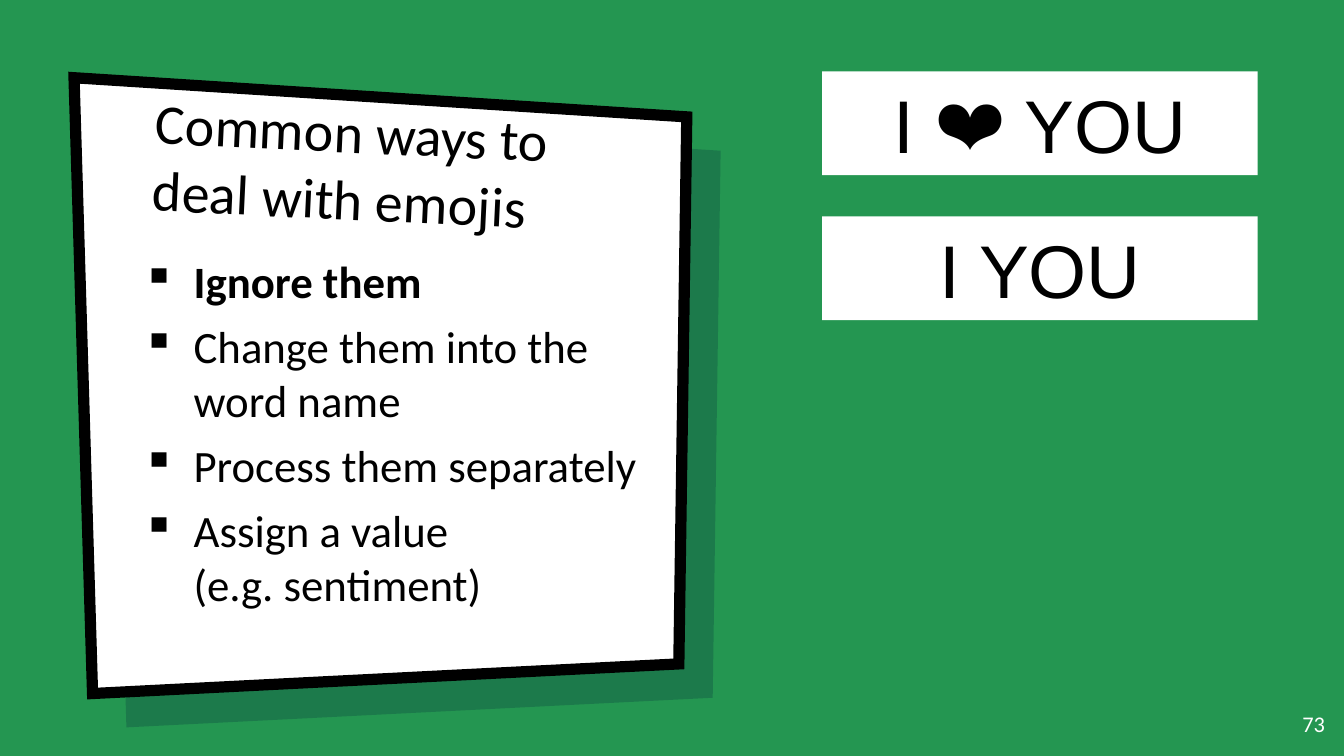
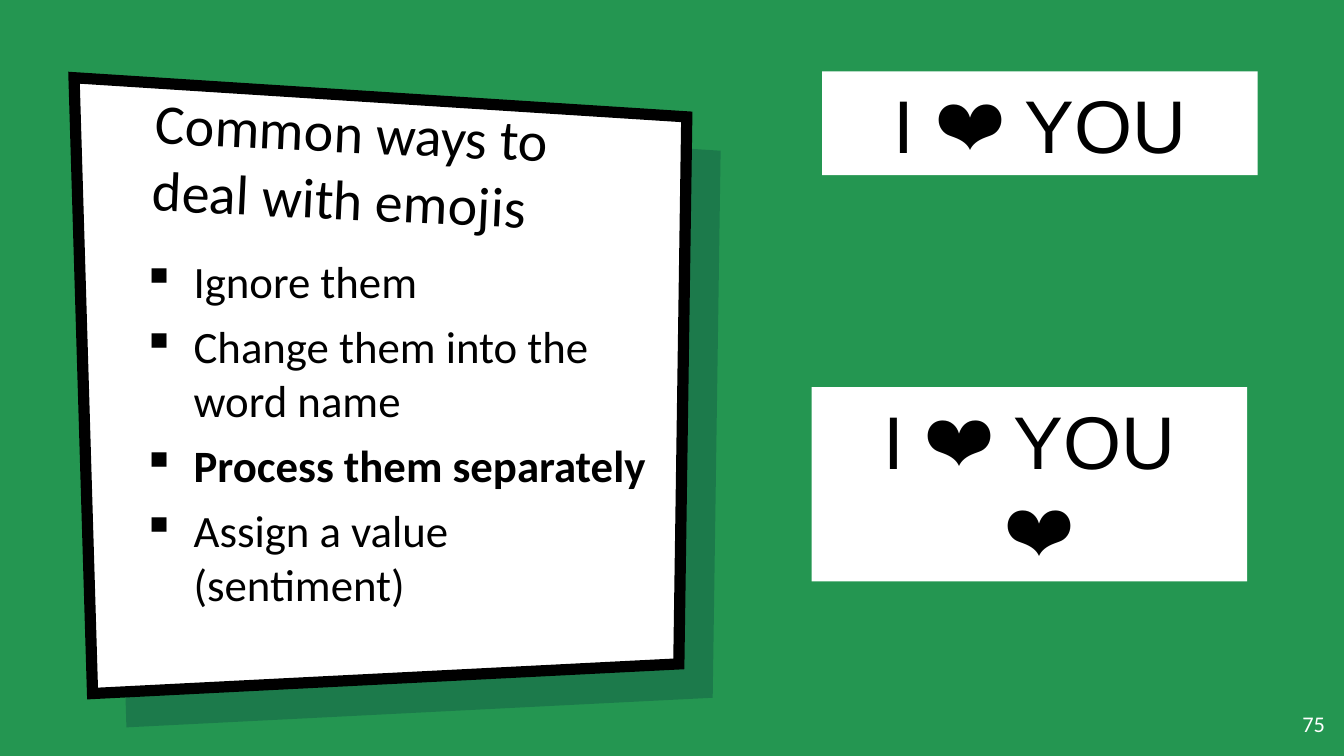
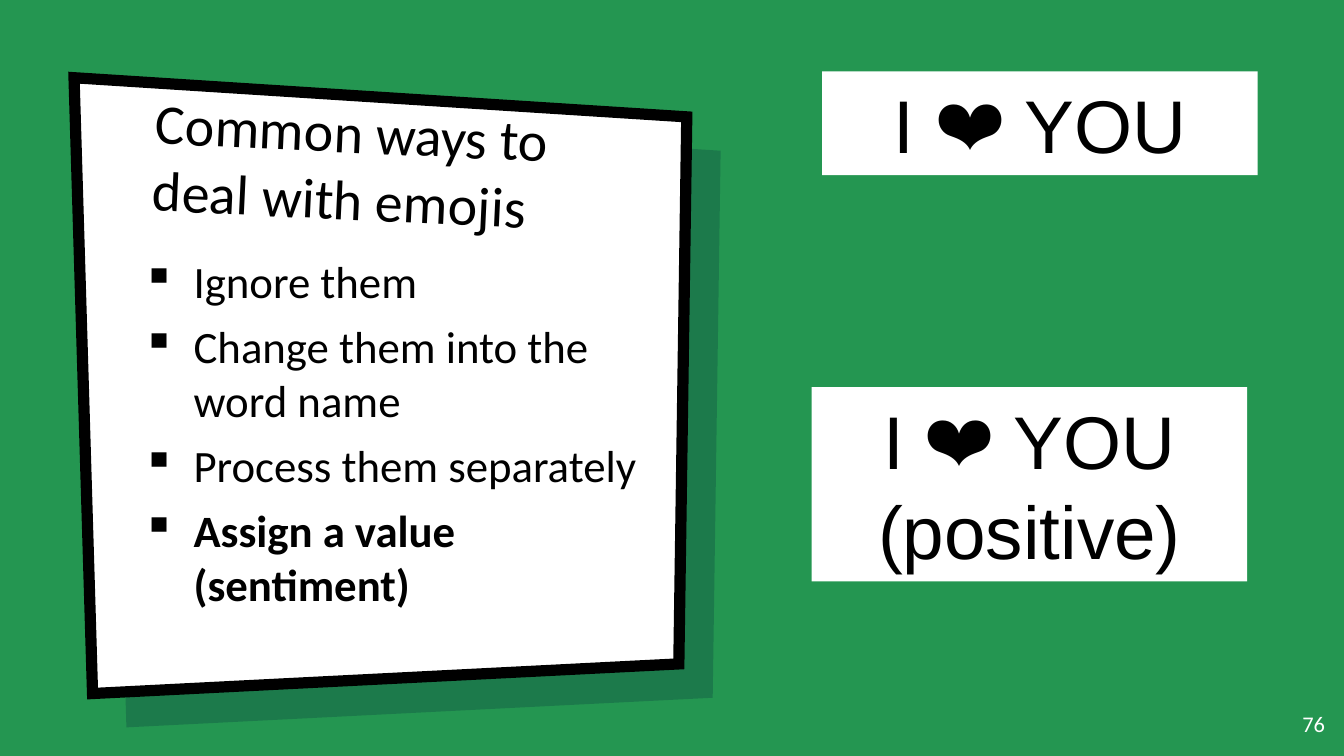
from lxml import etree
from pptx import Presentation
from pptx.dml.color import RGBColor
from pptx.enum.shapes import MSO_SHAPE
from pptx.enum.text import MSO_ANCHOR, MSO_AUTO_SIZE, PP_ALIGN
from pptx.oxml.ns import qn
from pptx.util import Cm, Pt

GREEN = RGBColor(0x24, 0x96, 0x51)
NAVY = RGBColor(0x00, 0x19, 0x36)
BLACK = RGBColor(0x00, 0x00, 0x00)
WHITE = RGBColor(0xFF, 0xFF, 0xFF)

TITLE = "Common ways to deal with emojis"
WAYS = ["Ignore them", "Change them into the word name", "Process them separately"]
EM_SPACE = " "
TWEET = ["I ❤️ YOU"]

# Number, last way, index of the way in bold, result lines, result left and top (cm)
SLIDES = [
    ("73", "Assign a value\v(e.g. sentiment)", 0, [f"I{EM_SPACE}YOU"], 15.54, 4.09),
    ("75", "Assign a value\v(sentiment)", 2, TWEET + [" ❤️"], 15.34, 7.32),
    ("76", "Assign a value\v(sentiment)", 3, TWEET + ["(positive)"], 15.34, 7.32),
]

# Lengths in cm
PANEL = [(1.4, 1.47), (12.98, 2.21), (12.83, 12.55), (1.75, 13.11)]
SHADOW_OFFSET = 0.64
TITLE_BOX = (2.64, 2.54, 9.04, 2.11)
WAYS_BOX = (2.44, 4.55, 10.26, 7.42)
NUMBER_BOX = (23.77, 13.18, 1.52, 1.09)
TWEET_LEFT, TWEET_TOP, CARD_WIDTH = 15.54, 1.35, 8.23
CARD_PADDING, CARD_LINE = 0.25, 1.71
INSET = 0.25
BULLET_INDENT = 0.97

TITLE_FONT = dict(name="Calibri", size=Pt(30))
WAY_FONT = dict(name="Calibri", size=Pt(24))
NUMBER_FONT = dict(name="Calibri", size=Pt(12))
CARD_FONT = dict(name="Arial", size=Pt(40))


def write_lines(tf, lines, font, color=BLACK, **paragraph_format):
    tf.word_wrap = True
    for i, line in enumerate(lines):
        p = tf.paragraphs[0] if i == 0 else tf.add_paragraph()
        p.text = line
        for name, value in paragraph_format.items():
            setattr(p, name, value)
        for r in p.runs:
            for name, value in font.items():
                setattr(r.font, name, value)
            r.font.color.rgb = color


def add_text(s, box, lines, font, **options):
    sp = s.shapes.add_textbox(*map(Cm, box))
    tf = sp.text_frame
    for side in ("left", "top", "right", "bottom"):
        setattr(tf, f"margin_{side}", Cm(INSET))
    write_lines(tf, lines, font, **options)
    return sp


def add_quad(s, offset, color):
    points = [(Cm(x + offset), Cm(y + offset)) for x, y in PANEL]
    builder = s.shapes.build_freeform(*points[0])
    builder.add_line_segments(points[1:], close=True)
    sp = builder.convert_to_shape()
    sp.shadow.inherit = False
    sp.fill.solid()
    sp.fill.fore_color.rgb = color
    return sp


def add_panel(s):
    shade = add_quad(s, SHADOW_OFFSET, NAVY)
    shade.line.fill.background()
    rgb = shade.fill._xPr.find(f".//{qn('a:srgbClr')}")
    etree.SubElement(rgb, qn("a:alpha"), val="22000")

    panel = add_quad(s, 0, WHITE)
    panel.line.color.rgb = BLACK
    panel.line.width = Pt(6)
    etree.SubElement(panel.line._get_or_add_ln(), qn("a:miter"), lim="800000")


def add_ways(s, ways, bold_index):
    tf = add_text(s, WAYS_BOX, ways, WAY_FONT).text_frame
    for i, p in enumerate(tf.paragraphs):
        pPr = p._p.get_or_add_pPr()
        pPr.set("marL", str(Cm(BULLET_INDENT)))
        pPr.set("indent", str(-Cm(BULLET_INDENT)))
        etree.SubElement(pPr, qn("a:buChar"), char="▪")
        p.space_before = Pt(6 if i else 0)
        for r in p.runs:
            r.font.bold = i == bold_index


def add_card(s, left, top, lines):
    height = CARD_PADDING + CARD_LINE * len(lines)
    sp = s.shapes.add_shape(MSO_SHAPE.RECTANGLE, *map(Cm, (left, top, CARD_WIDTH, height)))
    sp.shadow.inherit = False
    sp.fill.solid()
    sp.fill.fore_color.rgb = WHITE
    sp.line.fill.background()
    tf = sp.text_frame
    tf.vertical_anchor = MSO_ANCHOR.TOP
    tf.auto_size = MSO_AUTO_SIZE.SHAPE_TO_FIT_TEXT
    write_lines(tf, lines, CARD_FONT, alignment=PP_ALIGN.CENTER, line_spacing=Pt(48.5))


def main():
    prs = Presentation()
    prs.slide_width, prs.slide_height = Cm(25.4), Cm(14.29)
    background = prs.slide_master.background.fill
    background.solid()
    background.fore_color.rgb = GREEN

    for number, last_way, bold_index, result, left, top in SLIDES:
        s = prs.slides.add_slide(prs.slide_layouts[6])
        add_panel(s)
        title = add_text(s, TITLE_BOX, [TITLE], TITLE_FONT)
        title.rotation = 2.7
        title.text_frame.vertical_anchor = MSO_ANCHOR.BOTTOM
        add_ways(s, WAYS + [last_way], bold_index)
        add_text(s, NUMBER_BOX, [number], NUMBER_FONT, color=WHITE, alignment=PP_ALIGN.RIGHT)
        add_card(s, TWEET_LEFT, TWEET_TOP, TWEET)
        add_card(s, left, top, result)

    prs.save("out.pptx")


if __name__ == "__main__":
    main()
